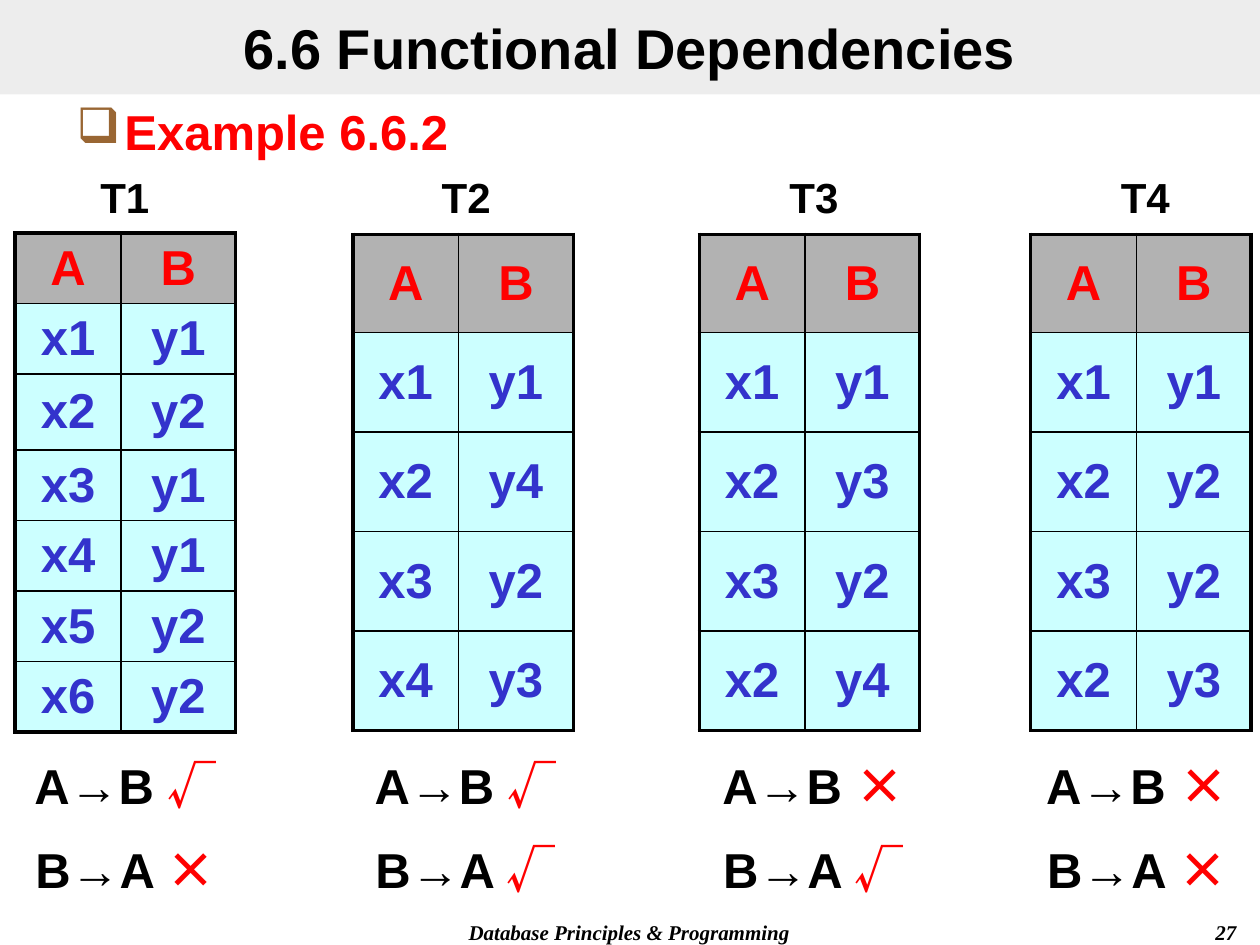
import pptx
import pptx.util
import pptx.dml.color
import pptx.enum.shapes
import pptx.enum.text
import pptx.oxml
import pptx.oxml.ns
from lxml import etree

Inches, Pt = pptx.util.Inches, pptx.util.Pt
ALIGN = pptx.enum.text.PP_ALIGN
MIDDLE = pptx.enum.text.MSO_ANCHOR.MIDDLE
qn = pptx.oxml.ns.qn


def color(value):
    return pptx.dml.color.RGBColor.from_string(value)


def add_run(p, text, size, rgb="000000", font="Arial", italic=False):
    """Append a bold run, with the same font for Latin and East Asian text."""
    r = p.add_run()
    r.text = text
    r.font.size, r.font.name = Pt(size), font
    r.font.bold, r.font.italic = True, italic
    r.font.color.rgb = color(rgb)
    etree.SubElement(r.font._element, qn("a:ea"), typeface=font)


prs = pptx.Presentation()
prs.slide_width, prs.slide_height = Inches(10), Inches(7.5)
s = prs.slides.add_slide(prs.slide_layouts[6])

# Footer and page number
for left, width, text, align in (
    (2.83, 4.33, "Database Principles & Programming", ALIGN.CENTER),
    (7.83, 2.08, "27", ALIGN.RIGHT),
):
    tf = s.shapes.add_textbox(Inches(left), Inches(7.25), Inches(width), Inches(0.25)).text_frame
    tf.word_wrap = True
    p = tf.paragraphs[0]
    p.alignment = align
    add_run(p, text, 12, font="Times New Roman", italic=True)

# Title band, half transparent
sp = s.shapes.add_shape(pptx.enum.shapes.MSO_SHAPE.RECTANGLE, 0, 0, Inches(10), Inches(0.75))
sp.shadow.inherit = False
sp.line.fill.background()
sp.fill.solid()
sp.fill.fore_color.rgb = color("DDDDDD")
etree.SubElement(sp._element.spPr.find(".//" + qn("a:srgbClr")), qn("a:alpha"), val="50000")
tf = sp.text_frame
tf.vertical_anchor = MIDDLE
p = tf.paragraphs[0]
p.alignment = ALIGN.CENTER
add_run(p, "6.6 Functional Dependencies", 32)

# Bulleted heading
tf = s.shapes.add_textbox(Inches(0.51), Inches(0.76), Inches(9), Inches(0.55)).text_frame
tf.word_wrap = True
p = tf.paragraphs[0]
add_run(p, "Example 6.6.2", 28, "FF0000")
pPr = p._p.get_or_add_pPr()
pPr.set("marL", str(Inches(0.38)))
pPr.set("indent", str(-Inches(0.38)))
bullet_color = etree.SubElement(pPr, qn("a:buClr"))
etree.SubElement(bullet_color, qn("a:srgbClr"), val="996633")
etree.SubElement(pPr, qn("a:buChar"), char="❑")

# Name, table left and top, label left, verdict left, rows, verdicts for A→B and B→A
relations = [
    ("T1", 0.12, 1.85, 0.28, 0.12, "x1 y1, x2 y2, x3 y1, x4 y1, x5 y2, x6 y2", "√×"),
    ("T2", 2.8, 1.86, 2.99, 2.82, "x1 y1, x2 y4, x3 y2, x4 y3", "√√"),
    ("T3", 5.55, 1.86, 5.75, 5.58, "x1 y1, x2 y3, x3 y2, x2 y4", "×√"),
    ("T4", 8.18, 1.86, 8.38, 8.15, "x1 y1, x2 y2, x3 y2, x2 y3", "××"),
]
row_heights = {7: [0.56, 0.56, 0.6] + [0.56] * 4, 5: [0.78] + [0.79] * 4}

for name, left, top, label_left, verdict_left, data, verdicts in relations:
    rows = [["A", "B"]] + [pair.split() for pair in data.split(", ")]
    heights = row_heights[len(rows)]
    last = len(rows) - 1
    table = s.shapes.add_table(len(rows), 2, Inches(left), Inches(top),
                               Inches(1.75), Inches(sum(heights))).table
    for col, width in zip(table.columns, (0.84, 0.91)):
        col.width = Inches(width)
    for i, values in enumerate(rows):
        table.rows[i].height = Inches(heights[i])
        for j, value in enumerate(values):
            cell = table.cell(i, j)
            cell.vertical_anchor = MIDDLE
            cell.margin_top = cell.margin_bottom = 0
            p = cell.text_frame.paragraphs[0]
            p.alignment = ALIGN.CENTER
            add_run(p, value, 28, "FF0000" if i == 0 else "3333CC")
            # Thick lines on the outer edges; borders must precede the fill
            outer = {"L": j == 0, "R": j == 1, "T": i == 0, "B": i == last}
            tcPr = cell._tc.get_or_add_tcPr()
            for side, is_outer in outer.items():
                ln = etree.SubElement(tcPr, qn("a:ln" + side), w=str(Pt(2.25 if is_outer else 1)))
                fill = etree.SubElement(ln, qn("a:solidFill"))
                etree.SubElement(fill, qn("a:srgbClr"), val="000000")
            cell.fill.solid()
            cell.fill.fore_color.rgb = color("B2B2B2" if i == 0 else "CCFFFF")

    tf = s.shapes.add_textbox(Inches(label_left), Inches(1.31), Inches(1.42), Inches(0.5)).text_frame
    tf.word_wrap = True
    p = tf.paragraphs[0]
    p.alignment = ALIGN.CENTER
    add_run(p, name, 24)

    tf = s.shapes.add_textbox(Inches(verdict_left), Inches(5.95), Inches(1.75), Inches(1.27)).text_frame
    tf.word_wrap = True
    tf.add_paragraph().space_before = Pt(14)
    for p, rule, verdict in zip(tf.paragraphs, ("A→B ", "B→A "), verdicts):
        p.alignment = ALIGN.CENTER
        add_run(p, rule, 28)
        add_run(p, verdict, 28, "FF0000", "Noto Sans CJK SC")

prs.save("out.pptx")
